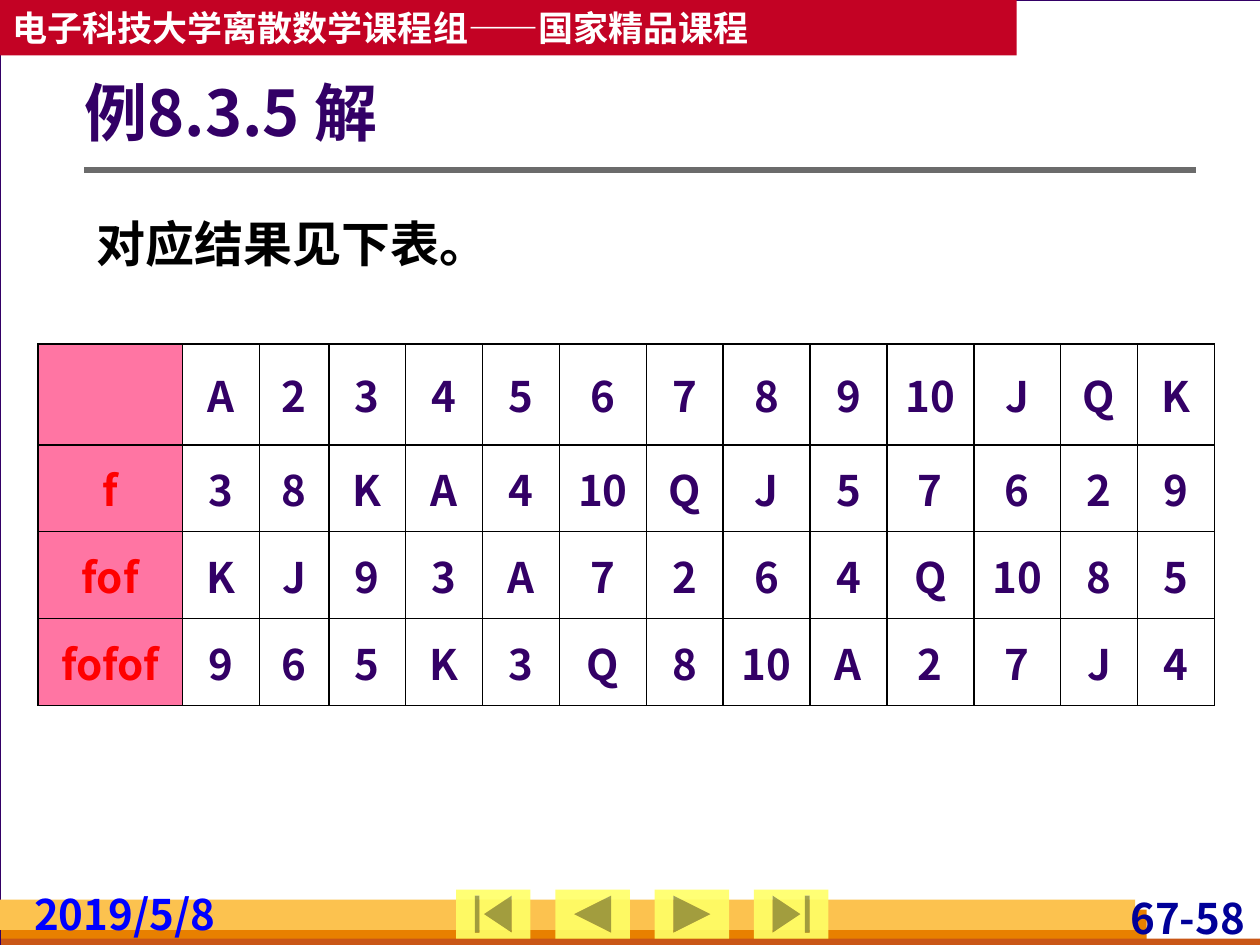
from dataclasses import dataclass
from typing import Any

from lxml import etree
from pptx import Presentation
from pptx import util as u
from pptx.dml import color
from pptx.enum import shapes, text
from pptx.oxml import ns

HUES = {
    "back": "D8DADA", "white": "FFFFFF", "ink": "330066", "red": "C30224",
    "rust": "C95616", "orange": "E88000", "gold": "FCC24F", "grey": "6B6B6B",
    "lemon": "FFFF66", "navy": "000099", "blue": "0000FF", "black": "000000",
    "pink": "FF6699", "label": "FF0000",
}
KINDS = shapes.MSO_SHAPE
ALIGN = text.PP_ALIGN
ANCHOR = text.MSO_ANCHOR


def hue(name):
    """Return the named colour."""
    return color.RGBColor.from_string(HUES[name])


def cells(*spans):
    """Turn grid cells of a tenth of an inch into lengths."""
    return [u.Inches(span / 10) for span in spans]


def sub(node, tag, **attrs):
    """Append a drawing element to a node."""
    return etree.SubElement(node, ns.qn("a:" + tag), attrs)


@dataclass
class Pen:
    """Draw styled elements on the current slide."""
    slide: Any
    face: str = "Noto Sans CJK SC"

    def paint(self, fill, props, name, alpha=100):
        """Fill with a colour at the given opacity."""
        fill.solid()
        fill.fore_color.rgb = hue(name)
        if alpha < 100:
            tint = props.find(ns.qn("a:solidFill"))[0]
            sub(tint, "alpha", val=str(alpha * 1000))

    def letter(self, para, words, size, name, align=ALIGN.LEFT, lead=None):
        """Set one paragraph of bold text."""
        para.text = words
        para.alignment = align
        if lead:
            para.line_spacing = lead
        for run in para.runs:
            font = run.font
            font.size, font.bold, font.name = u.Pt(size), True, self.face
            font.color.rgb = hue(name)
            sub(font._element, "ea", typeface=self.face)

    def block(self, box, name, kind=KINDS.RECTANGLE, alpha=100, edge=None):
        """Add a filled preset shape."""
        shape = self.slide.shapes.add_shape(kind, *cells(*box))
        shape.shadow.inherit = False
        self.paint(shape.fill, shape._element.spPr, name, alpha)
        if edge:
            shape.line.color.rgb = hue(edge)
            shape.line.width = u.Pt(0.75)
        else:
            shape.line.fill.background()
        return shape

    def label(self, box, words, size, name, inset=(1, 0.5, 1, 0.5),
              anchor=ANCHOR.TOP, **style):
        """Add a wrapped text box that grows with its text."""
        frame = self.slide.shapes.add_textbox(*cells(*box)).text_frame
        frame.word_wrap = True
        frame.auto_size = text.MSO_AUTO_SIZE.SHAPE_TO_FIT_TEXT
        frame.vertical_anchor = anchor
        (frame.margin_left, frame.margin_top,
         frame.margin_right, frame.margin_bottom) = cells(*inset)
        self.letter(frame.paragraphs[0], words, size, name, **style)

    def rule(self, left, right, row, name, width):
        """Add a horizontal line."""
        line = self.slide.shapes.add_connector(
            shapes.MSO_CONNECTOR.STRAIGHT, *cells(left, row, right, row))
        line.line.color.rgb = hue(name)
        line.line.width = u.Pt(width)
        sub(line._element.spPr, "effectLst")

    def frame(self, cell):
        """Draw the four borders of a table cell."""
        props = cell._tc.get_or_add_tcPr()
        for side in "LRTB":
            edge = sub(props, "ln" + side, w=str(u.Pt(1)))
            sub(sub(edge, "solidFill"), "srgbClr", val=HUES["black"])
        return props

    def table(self, left, top, cols, rows, data):
        """Add a bordered table with a tinted label column."""
        table = self.slide.shapes.add_table(
            len(rows), len(cols), *cells(left, top, sum(cols), sum(rows))).table
        table.first_row = table.horz_banding = False
        for col, width in zip(table.columns, cells(*cols)):
            col.width = width
        for row, height in zip(table.rows, cells(*rows)):
            row.height = height
        for row, words in zip(table.rows, data):
            for spot, (cell, word) in enumerate(zip(row.cells, words)):
                props = self.frame(cell)
                cell.vertical_anchor = ANCHOR.MIDDLE
                if spot:
                    cell.fill.background()
                else:
                    self.paint(cell.fill, props, "pink", 90)
                self.letter(cell.text_frame.paragraphs[0], word, 24,
                            "ink" if spot else "label", ALIGN.CENTER)


def main():
    """Build and save the slide."""
    deck = Presentation()
    deck.slide_width, deck.slide_height = cells(100, 75)
    pen = Pen(deck.slides.add_slide(deck.slide_layouts[6]))
    fill = pen.slide.background.fill
    fill.solid()
    fill.fore_color.rgb = hue("back")

    pen.block((0, 0, 100.1, 75), "white", edge="ink")
    banner = pen.block((0, 0, 80.7, 4.4), "red").text_frame
    banner.word_wrap = False
    banner.vertical_anchor = ANCHOR.MIDDLE
    pen.letter(banner.paragraphs[0],
               "电子科技大学离散数学课程组——国家精品课程", 20, "white")
    pen.block((0.1, 72.2, 90.9, 2.8), "orange")
    pen.block((0.1, 74.5, 100, 0.8), "rust")
    pen.block((0, 71.4, 90.1, 2.4), "gold")

    slim = (0.4, 0, 0.4, 0)
    pen.label((84.7, 70.8, 14.5, 4), "67-58", 24, "navy", slim,
              align=ALIGN.RIGHT)
    pen.rule(6.7, 94.9, 13.5, "grey", 3)
    kinds = (KINDS.ACTION_BUTTON_BEGINNING,
             KINDS.ACTION_BUTTON_BACK_OR_PREVIOUS,
             KINDS.ACTION_BUTTON_FORWARD_OR_NEXT,
             KINDS.ACTION_BUTTON_END)
    for spot, kind in enumerate(kinds):
        pen.block((36.2 + 7.88 * spot, 70.6, 5.9, 3.9), "lemon", kind, 90)
    pen.label((2.3, 70.5, 16.5, 4), "2019/5/8", 24, "blue", slim)

    pen.label((6.7, 6, 88.2, 6.4), "例8.3.5 解", 36, "ink",
              (0, 0.5, 1, 0.5), ANCHOR.MIDDLE, lead=0.9)
    pen.label((6.7, 15.5, 88.2, 6.6), "对应结果见下表。", 28, "black",
              align=ALIGN.JUSTIFY, lead=1.2)

    cards = "A 2 3 4 5 6 7 8 9 10 J Q K".split()
    swap = dict(zip(cards, "3 8 K A 4 10 Q J 5 7 6 2 9".split()))
    data, faces = [["", *cards]], cards
    for name in ("f", "fof", "fofof"):
        faces = [swap[face] for face in faces]
        data.append([name, *faces])
    cols = [11.5] + [6.1] * 13
    cols[2] = 5.5
    for wide in (6, 8, 10, 11):
        cols[wide] = 6.9
    pen.table(3, 27.3, cols, [8] + [6.9] * 3, data)
    deck.save("out.pptx")


if __name__ == "__main__":
    main()
